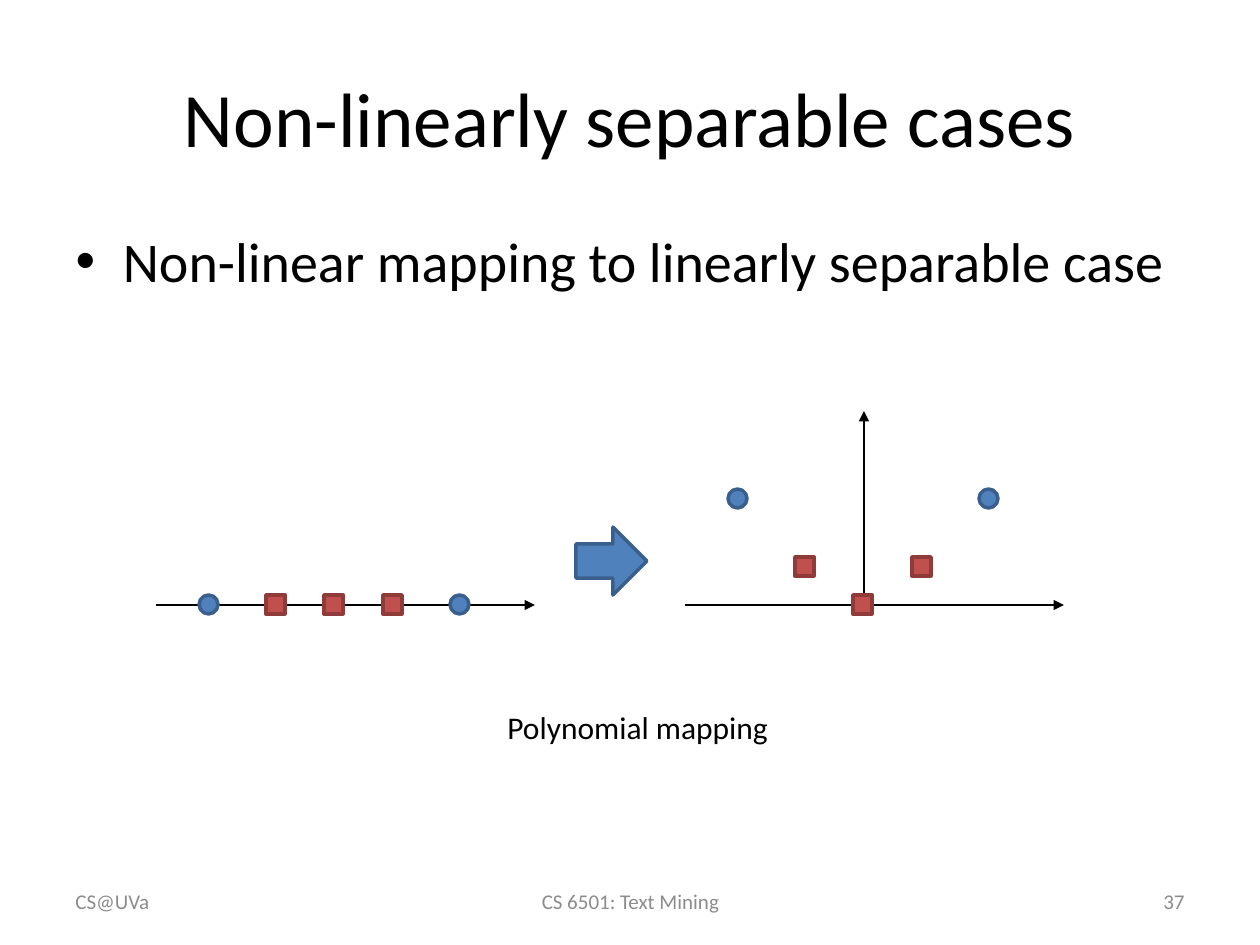
from lxml.etree import SubElement
from pptx import Presentation
from pptx.dml.color import RGBColor
from pptx.enum.shapes import MSO_CONNECTOR, MSO_SHAPE
from pptx.enum.text import MSO_ANCHOR, PP_ALIGN
from pptx.oxml.ns import qn
from pptx.util import Emu, Pt

PX_PER_INCH = 126
BLACK, GRAY = "000000", "8C8C8C"
BLUE, DARK_BLUE = "4F81BD", "3A5F8C"
RED, DARK_RED = "C0504D", "8E3B39"

MARKER_SIZE = 19
AXIS_Y = 605
MARKER_Y = 595
PLOT_SHIFT = 529
CIRCLE = (MSO_SHAPE.OVAL, BLUE, DARK_BLUE)
SQUARE = (MSO_SHAPE.RECTANGLE, RED, DARK_RED)
# Left edge on the line, height gained by the mapping, class
POINTS = [
    (199, 106, CIRCLE),
    (266, 38, SQUARE),
    (324, 0, SQUARE),
    (383, 38, SQUARE),
    (450, 106, CIRCLE),
]
FOOTERS = [
    (63, 294, "CS@UVa", PP_ALIGN.LEFT),
    (431, 399, "CS 6501: Text Mining", PP_ALIGN.CENTER),
    (903, 294, "37", PP_ALIGN.RIGHT),
]


def px(*lengths):
    return [Emu(round(length * 914400 / PX_PER_INCH)) for length in lengths]


def color(hex_string):
    return RGBColor.from_string(hex_string)


def write(frame, text, size, hex_color, **paragraph_format):
    frame.word_wrap = True
    paragraph = frame.paragraphs[0]
    paragraph.text = text
    for name, value in {"space_before": Pt(0), **paragraph_format}.items():
        setattr(paragraph, name, value)
    for name, value in {"name": "Calibri", "size": Pt(size)}.items():
        setattr(paragraph.font, name, value)
    paragraph.font.color.rgb = color(hex_color)


def fill_placeholder(placeholder, box, text, size, **paragraph_format):
    for name, value in zip(("left", "top", "width", "height"), px(*box)):
        setattr(placeholder, name, value)
    write(placeholder.text_frame, text, size, BLACK, **paragraph_format)


def add_label(slide, box, text, size, hex_color, align, anchor):
    frame = slide.shapes.add_textbox(*px(*box)).text_frame
    frame.vertical_anchor = anchor
    write(frame, text, size, hex_color, alignment=align)


def add_axis(slide, *ends):
    axis = slide.shapes.add_connector(MSO_CONNECTOR.STRAIGHT, *px(*ends))
    axis.line.color.rgb = color(BLACK)
    axis.line.width = Pt(1.5)
    SubElement(axis.line._get_or_add_ln(), qn("a:tailEnd"), type="triangle")
    SubElement(axis._element.spPr, qn("a:effectLst"))


def add_figure(slide, kind, fill, outline, *box):
    figure = slide.shapes.add_shape(kind, *px(*box))
    figure.shadow.inherit = False
    figure.fill.solid()
    figure.fill.fore_color.rgb = color(fill)
    figure.line.color.rgb = color(outline)
    figure.line.width = Pt(2)


def add_plot(slide, shift, mapped):
    """Draw the points on the line, or raised above it once mapped."""
    add_axis(slide, 156 + shift, AXIS_Y, 535 + shift, AXIS_Y)
    if mapped:
        add_axis(slide, 864, AXIS_Y, 864, 411)
    for left, rise, style in POINTS:
        top = MARKER_Y - rise if mapped else MARKER_Y
        add_figure(slide, *style, left + shift, top, MARKER_SIZE, MARKER_SIZE)


def main():
    presentation = Presentation()
    presentation.slide_width, presentation.slide_height = px(1260, 945)
    slide = presentation.slides.add_slide(presentation.slide_layouts[1])
    title, body = slide.placeholders

    fill_placeholder(title, (63, 38, 1134, 158),
                     "Non-linearly separable cases", 44, alignment=PP_ALIGN.CENTER)
    fill_placeholder(body, (63, 220, 1134, 624),
                     "Non-linear mapping to linearly separable case", 32)

    add_plot(slide, 0, mapped=False)
    add_figure(slide, MSO_SHAPE.RIGHT_ARROW, BLUE, DARK_BLUE, 576, 527, 71, 68)
    add_plot(slide, PLOT_SHIFT, mapped=True)
    add_label(slide, (495, 702, 301, 51), "Polynomial mapping", 18, BLACK,
              PP_ALIGN.LEFT, MSO_ANCHOR.TOP)

    for left, width, text, align in FOOTERS:
        add_label(slide, (left, 876, width, 50), text, 12, GRAY,
                  align, MSO_ANCHOR.MIDDLE)

    presentation.save("out.pptx")


if __name__ == "__main__":
    main()
